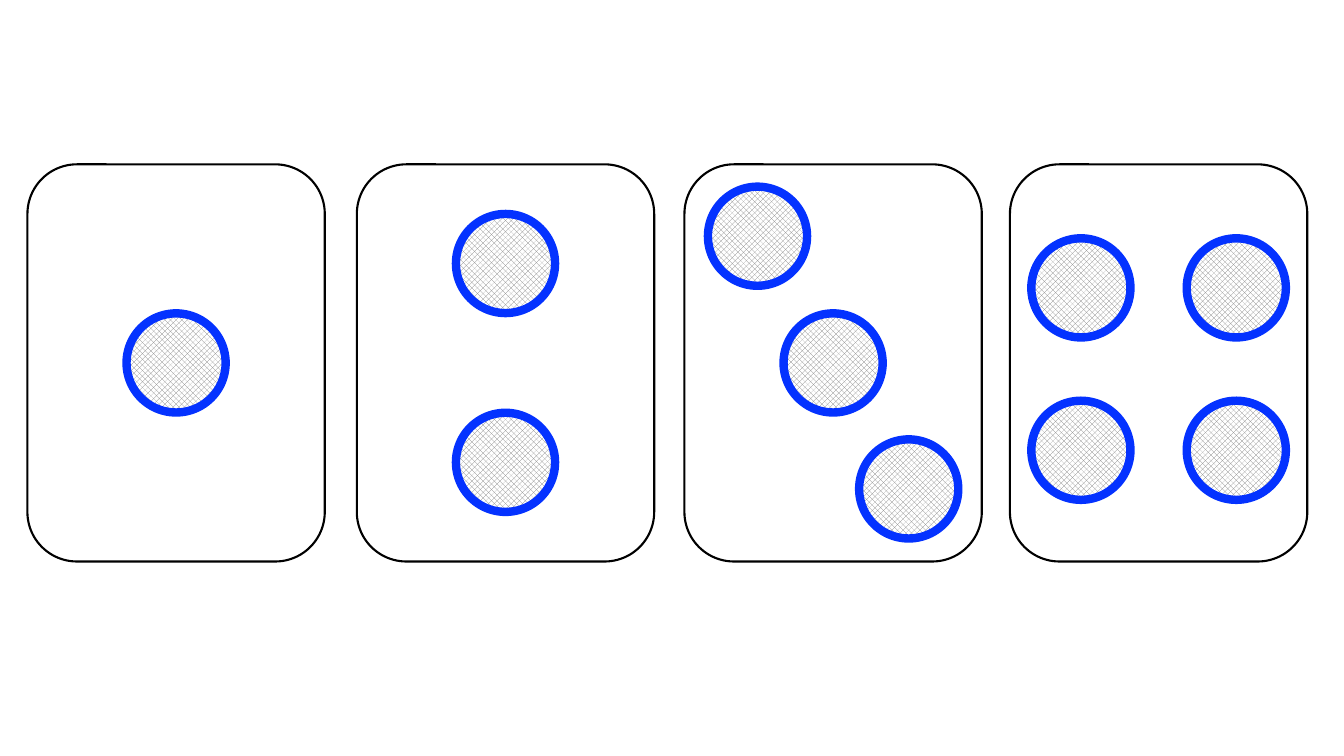
from pptx import Presentation
from pptx.dml.color import RGBColor
from pptx.enum import dml, shapes
from pptx.util import Pt

COLORS = {"card": "FFFFFF", "border": "000000", "ring": "0432FF", "hatch": "808080"}
CARD_TOP, CARD_W, CARD_H = 117.4, 212.4, 283.7
DOT = 70.8

# Left edge of each card, and its dot centres as offsets from the card centre
CARDS = [
    (19.6, [(0, 0)]),
    (254.9, [(0, -71), (0, 71)]),
    (488.9, [(-54, -90.5), (0, 0), (54, 90)]),
    (721.4, [(x, y) for y in (-53.6, 62.4) for x in (-55.5, 55.5)]),
]


def color(name):
    return RGBColor.from_string(COLORS[name])


def add_outlined(s, kind, box, line, width):
    sp = s.shapes.add_shape(kind, *(Pt(v) for v in box))
    sp.shadow.inherit = False
    sp.line.color.rgb = color(line)
    sp.line.width = Pt(width)
    return sp


def add_dot(s, cx, cy):
    box = (cx - DOT / 2, cy - DOT / 2, DOT, DOT)
    fill = add_outlined(s, shapes.MSO_SHAPE.OVAL, box, "ring", 6).fill
    fill.patterned()
    fill.pattern = dml.MSO_PATTERN.SOLID_DIAMOND
    fill.fore_color.rgb = color("hatch")
    fill.back_color.rgb = color("card")


def add_card(s, left, top, width, height, dots):
    box = (left, top, width, height)
    fill = add_outlined(s, shapes.MSO_SHAPE.ROUNDED_RECTANGLE, box, "border", 1.5).fill
    fill.solid()
    fill.fore_color.rgb = color("card")
    for dx, dy in dots:
        add_dot(s, left + width / 2 + dx, top + height / 2 + dy)


def main():
    prs = Presentation()
    prs.slide_width, prs.slide_height = Pt(960), Pt(540)
    s = prs.slides.add_slide(prs.slide_layouts[6])
    for left, dots in CARDS:
        add_card(s, left, CARD_TOP, CARD_W, CARD_H, dots)
    prs.save("out.pptx")


if __name__ == "__main__":
    main()
